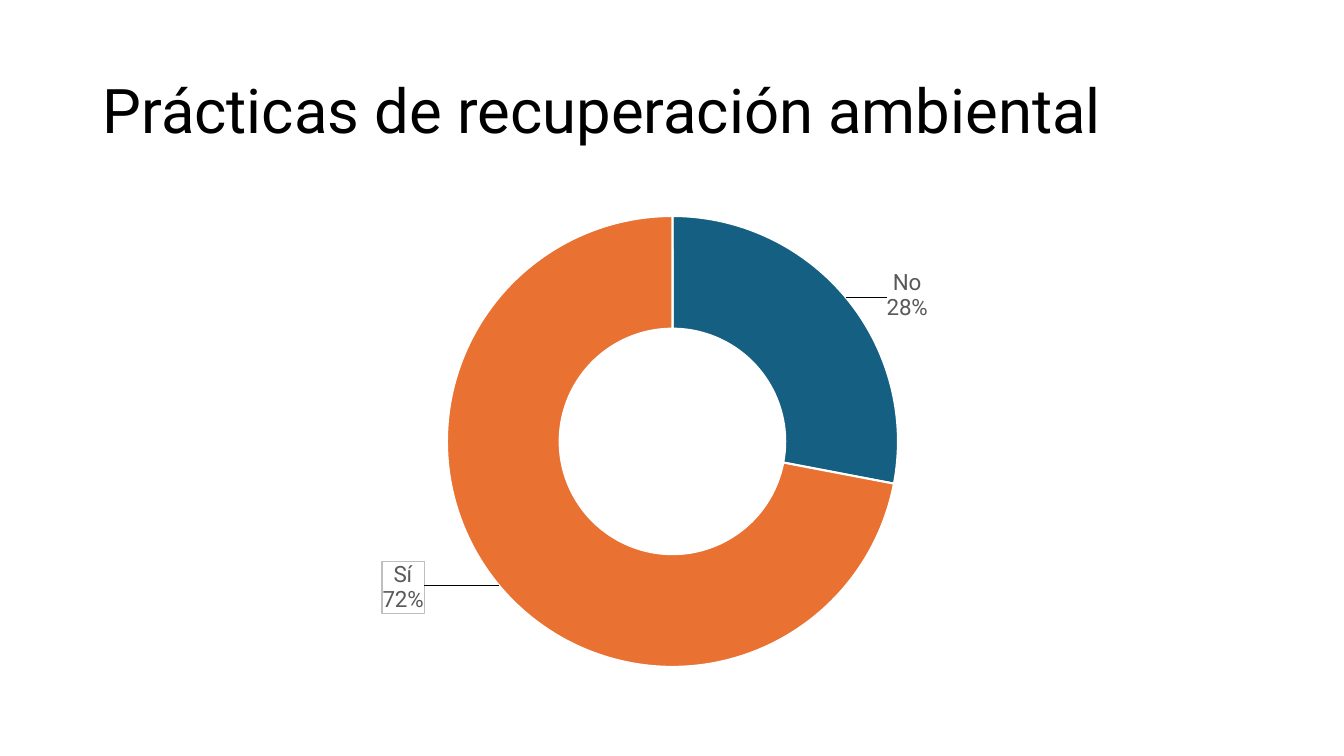
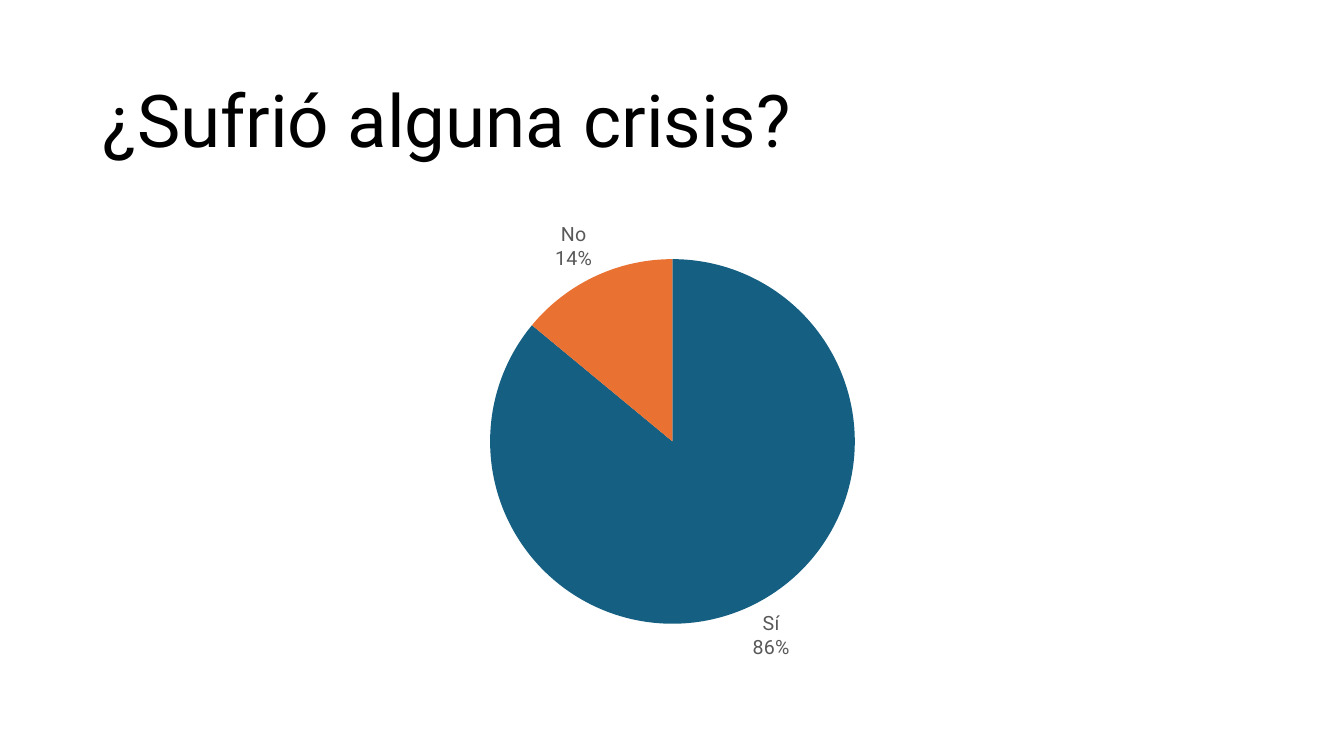
import pptx
import pptx.chart.data
import pptx.dml.color
import pptx.enum.chart
import pptx.enum.text
import pptx.oxml
import pptx.oxml.ns
import pptx.util

RGBColor = pptx.dml.color.RGBColor
ChartType = pptx.enum.chart.XL_CHART_TYPE
qn = pptx.oxml.ns.qn

BLACK = RGBColor(0x00, 0x00, 0x00)
WHITE = RGBColor(0xFF, 0xFF, 0xFF)
GREY = RGBColor(0x59, 0x59, 0x59)
BLUE = RGBColor(0x15, 0x60, 0x82)
ORANGE = RGBColor(0xE9, 0x71, 0x32)
BOX_LINE = RGBColor(0xBF, 0xBF, 0xBF)


def chart_xml(tag, body="", attrs=""):
    return pptx.oxml.parse_xml(
        f"<c:{tag} {pptx.oxml.ns.nsdecls('c', 'a')} {attrs}>{body}</c:{tag}>")


def manual_layout(**shares):
    """Chart layout element; shares are parts of the chart's size."""
    body = "".join(f'<c:{key} val="{val}"/>' for key, val in shares.items())
    return chart_xml("layout", f"<c:manualLayout>{body}</c:manualLayout>")


class Deck:
    FONT = "Roboto"
    WIDTH, HEIGHT = 13.33, 7.5
    LEFT, CONTENT_WIDTH = 0.92, 11.5
    TITLE_BOTTOM, CHART_TOP, CHART_HEIGHT = 1.85, 2, 4.76
    SLICES = (BLUE, ORANGE)

    def __init__(self):
        self.prs = pptx.Presentation()
        self.prs.slide_width = pptx.util.Inches(self.WIDTH)
        self.prs.slide_height = pptx.util.Inches(self.HEIGHT)
        self.s = None

    def area(self, top, height):
        """Full content width between the side margins."""
        return [pptx.util.Inches(v)
                for v in (self.LEFT, top, self.CONTENT_WIDTH, height)]

    def style_font(self, font, size, color):
        font.name = self.FONT
        font.size = pptx.util.Pt(size)
        font.color.rgb = color

    def slide(self, title, size, top):
        self.s = self.prs.slides.add_slide(self.prs.slide_layouts[6])
        box = self.s.shapes.add_textbox(*self.area(top, self.TITLE_BOTTOM - top))
        tf = box.text_frame
        tf.word_wrap = True
        tf.vertical_anchor = pptx.enum.text.MSO_ANCHOR.MIDDLE
        tf.text = title
        p = tf.paragraphs[0]
        p.line_spacing = 0.9
        self.style_font(p.runs[0].font, size, BLACK)

    def share_chart(self, kind, values, label_size, height_share, border=None):
        """Pie or doughnut; height_share is its diameter over the chart height."""
        data = pptx.chart.data.CategoryChartData()
        data.categories = list(values)
        data.add_series("Series 1", list(values.values()))
        chart = self.s.shapes.add_chart(
            kind, *self.area(self.CHART_TOP, self.CHART_HEIGHT), data).chart
        chart.has_legend = chart.has_title = False
        self.style_font(chart.font, 10, BLACK)
        plot = chart.plots[0]
        plot.vary_by_categories = True
        series = plot.series[0]
        for i, color in enumerate(self.SLICES):
            fmt = series.points[i].format
            fmt.fill.solid()
            fmt.fill.fore_color.rgb = color
            if border:
                fmt.line.color.rgb = WHITE
                fmt.line.width = pptx.util.Pt(border)
            else:
                fmt.line.fill.background()

        labels = series.data_labels
        labels.show_value = False
        labels.show_category_name = labels.show_percentage = True
        labels.number_format = "0%"
        labels.number_format_is_linked = False
        self.style_font(labels.font, label_size, GREY)
        self.break_label(labels._element)

        plot_area = plot._element.getparent()
        for old in plot_area.findall(qn("c:layout")):
            plot_area.remove(old)
        plot_area.insert(0, manual_layout(
            layoutTarget="inner", xMode="edge", yMode="edge", x=0.1,
            y=round((1 - height_share) / 2, 2), w=0.8, h=height_share))
        return plot

    @staticmethod
    def break_label(label):
        """Put the percentage on a line below the category."""
        label.find(qn("c:showBubbleSize")).addnext(chart_xml("separator", "\n"))

    def move_label(self, plot, index, dx, dy, size, boxed=False):
        """Shift one label by shares of the chart's size."""
        series = plot.series[0]
        self.style_font(series.points[index].data_label.font, size, GREY)
        label = series.data_labels._element.findall(qn("c:dLbl"))[index]
        for tag, val in (("showVal", 0), ("showCatName", 1), ("showPercent", 1)):
            label.find(qn(f"c:{tag}")).set("val", str(val))
        self.break_label(label)
        label.find(qn("c:idx")).addnext(manual_layout(x=dx, y=dy))
        text = label.find(qn("c:txPr"))
        text.addprevious(chart_xml("numFmt", attrs='formatCode="0%" sourceLinked="0"'))
        for old in label.findall(qn("c:spPr")):
            label.remove(old)
        if boxed:
            fill = '<a:solidFill><a:srgbClr val="{}"/></a:solidFill>'
            text.addprevious(chart_xml(
                "spPr", fill.format(WHITE)
                + f'<a:ln w="{pptx.util.Pt(0.75)}">{fill.format(BOX_LINE)}</a:ln>'))

    def doughnut(self, values, size, offsets, boxed):
        plot = self.share_chart(ChartType.DOUGHNUT, values, size, 0.94, border=1.5)
        plot._element.find(qn("c:holeSize")).set("val", "75")
        for i, (dx, dy) in enumerate(offsets):
            self.move_label(plot, i, dx, dy, size, boxed=i == boxed)

    def pie(self, values, size):
        plot = self.share_chart(ChartType.PIE, values, size, 0.76)
        plot.series[0].data_labels.position = (
            pptx.enum.chart.XL_LABEL_POSITION.OUTSIDE_END)


def main():
    deck = Deck()
    deck.slide("Prácticas de recuperación ambiental", 44, top=0.4)
    deck.doughnut({"No": 28, "Sí": 72}, 16,
                  offsets=[(0.09, -0.08), (-0.12, 0.08)], boxed=1)
    deck.slide("¿Sufrió alguna crisis?", 52, top=0.61)
    deck.pie({"Sí": 86, "No": 14}, 14)
    deck.prs.save("out.pptx")


if __name__ == "__main__":
    main()
